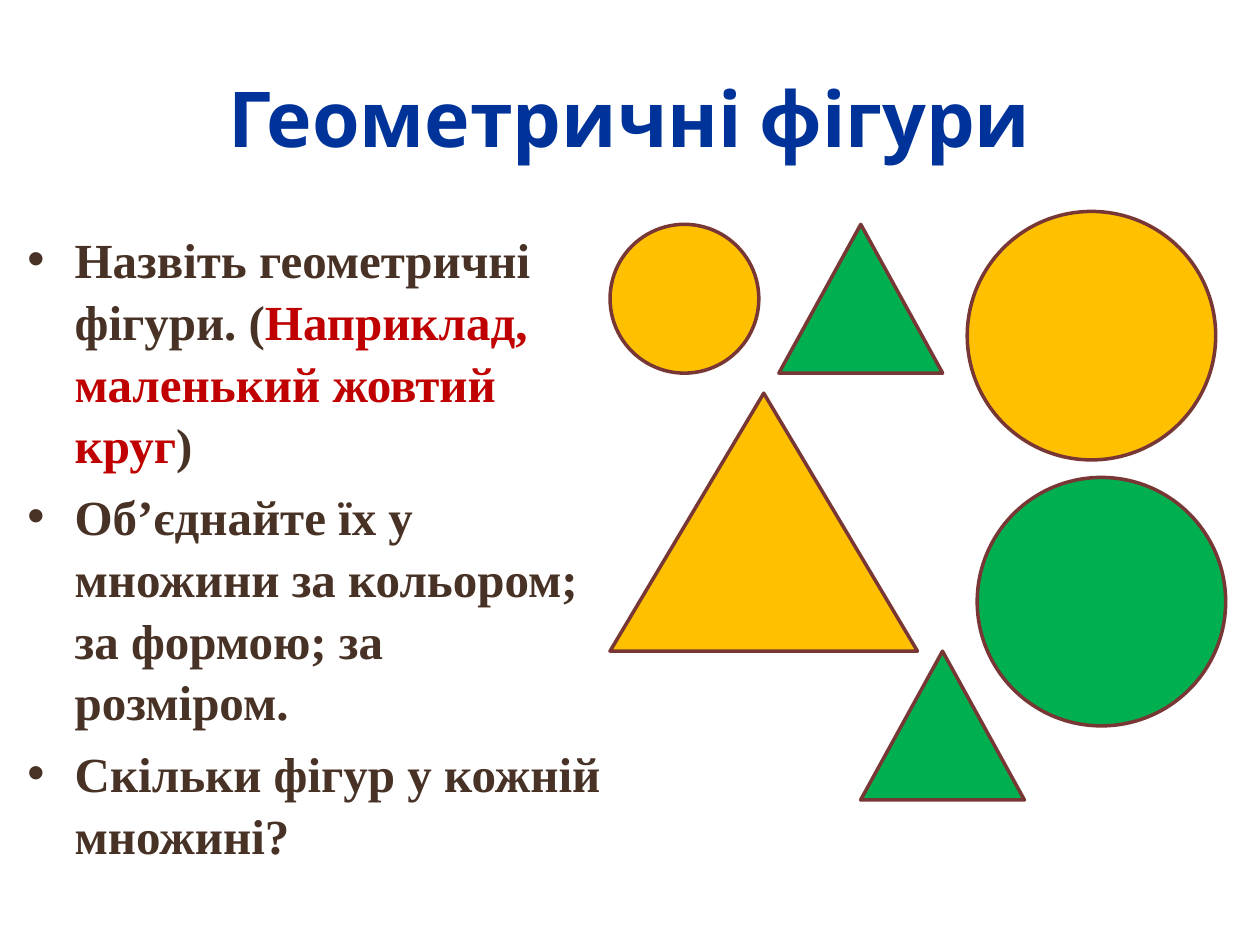
from lxml import etree
from pptx import Presentation
from pptx.dml.color import RGBColor
from pptx.enum.shapes import MSO_SHAPE
from pptx.enum.text import MSO_ANCHOR, PP_ALIGN
from pptx.oxml.ns import qn
from pptx.util import Pt

CIRCLE = MSO_SHAPE.OVAL
TRIANGLE = MSO_SHAPE.ISOSCELES_TRIANGLE
TOP, MIDDLE = MSO_ANCHOR.TOP, MSO_ANCHOR.MIDDLE
LEFT, CENTER = PP_ALIGN.LEFT, PP_ALIGN.CENTER

# Content: each paragraph is a list of (text, colour) runs
BLUE, BROWN, RED = "00339A", "483226", "C00000"
YELLOW, GREEN, OUTLINE = "FFC000", "00B050", "783735"
TITLE = [[("Геометричні фігури", BLUE)]]
TASKS = [
    [("Назвіть геометричні фігури. (", BROWN),
     ("Наприклад, маленький жовтий круг", RED),
     (")", BROWN)],
    [("Об’єднайте їх у множини за кольором; за формою; за розміром.", BROWN)],
    [("Скільки фігур у кожній множині?", BROWN)],
]

# Sizes and figures (kind, size, left, top, colour), back to front
SMALL_CIRCLE, BIG_CIRCLE = (85, 85), (142, 142)
SMALL_TRIANGLE, BIG_TRIANGLE = (93.6, 85), (175.7, 147.4)
FIGURES = [
    (CIRCLE, SMALL_CIRCLE, 348.6, 128.2, YELLOW),
    (CIRCLE, BIG_CIRCLE, 558.4, 272.8, GREEN),
    (CIRCLE, BIG_CIRCLE, 552.7, 120.8, YELLOW),
    (TRIANGLE, SMALL_TRIANGLE, 491.8, 372.1, GREEN),
    (TRIANGLE, SMALL_TRIANGLE, 445.1, 128.2, GREEN),
    (TRIANGLE, BIG_TRIANGLE, 348.6, 224.7, YELLOW),
]


def color(value):
    return RGBColor.from_string(value)


def add_bullet(paragraph, indent):
    properties = paragraph._p.get_or_add_pPr()
    properties.set("marL", str(Pt(indent)))
    properties.set("indent", str(-Pt(indent)))
    font = etree.SubElement(properties, qn("a:buFont"))
    font.set("typeface", "Arial")
    etree.SubElement(properties, qn("a:buChar")).set("char", "•")


def add_outline(run, width, value):
    line = etree.Element(qn("a:ln"), w=str(Pt(width)))
    fill = etree.SubElement(line, qn("a:solidFill"))
    etree.SubElement(fill, qn("a:srgbClr")).set("val", value)
    run.font._element.insert(0, line)


def add_text(slide, paragraphs, box, *, font, size, align=LEFT, anchor=TOP,
             indent=0, space=0, line_spacing=1.0, outline=None):
    frame = slide.shapes.add_textbox(*map(Pt, box)).text_frame
    frame.word_wrap = True
    frame.vertical_anchor = anchor
    for index, runs in enumerate(paragraphs):
        paragraph = frame.add_paragraph() if index else frame.paragraphs[0]
        paragraph.alignment = align
        paragraph.line_spacing = line_spacing
        if index:
            paragraph.space_before = Pt(space)
        if indent:
            add_bullet(paragraph, indent)
        for text, value in runs:
            run = paragraph.add_run()
            run.text = text
            run.font.name = font
            run.font.size = Pt(size)
            run.font.bold = True
            run.font.color.rgb = color(value)
            if outline:
                add_outline(run, *outline)


def add_figure(slide, kind, size, left, top, value):
    shape = slide.shapes.add_shape(kind, *map(Pt, (left, top, *size)))
    shape.shadow.inherit = False
    shape.fill.solid()
    shape.fill.fore_color.rgb = color(value)
    shape.line.color.rgb = color(OUTLINE)
    shape.line.width = Pt(2)


def main():
    presentation = Presentation()
    presentation.slide_width, presentation.slide_height = Pt(720), Pt(540)
    slide = presentation.slides.add_slide(presentation.slide_layouts[6])

    # Title and tasks
    add_text(slide, TITLE, (36, 21.6, 648, 90), font="Cabin", size=44,
             align=CENTER, anchor=MIDDLE, outline=(0.15, "F2F2F2"))
    add_text(slide, TASKS, (8.6, 126, 344.5, 382.3), font="Times New Roman",
             size=28, indent=27, space=5.6, line_spacing=1.05)

    # Geometric figures
    for figure in FIGURES:
        add_figure(slide, *figure)

    presentation.save("out.pptx")


if __name__ == "__main__":
    main()
